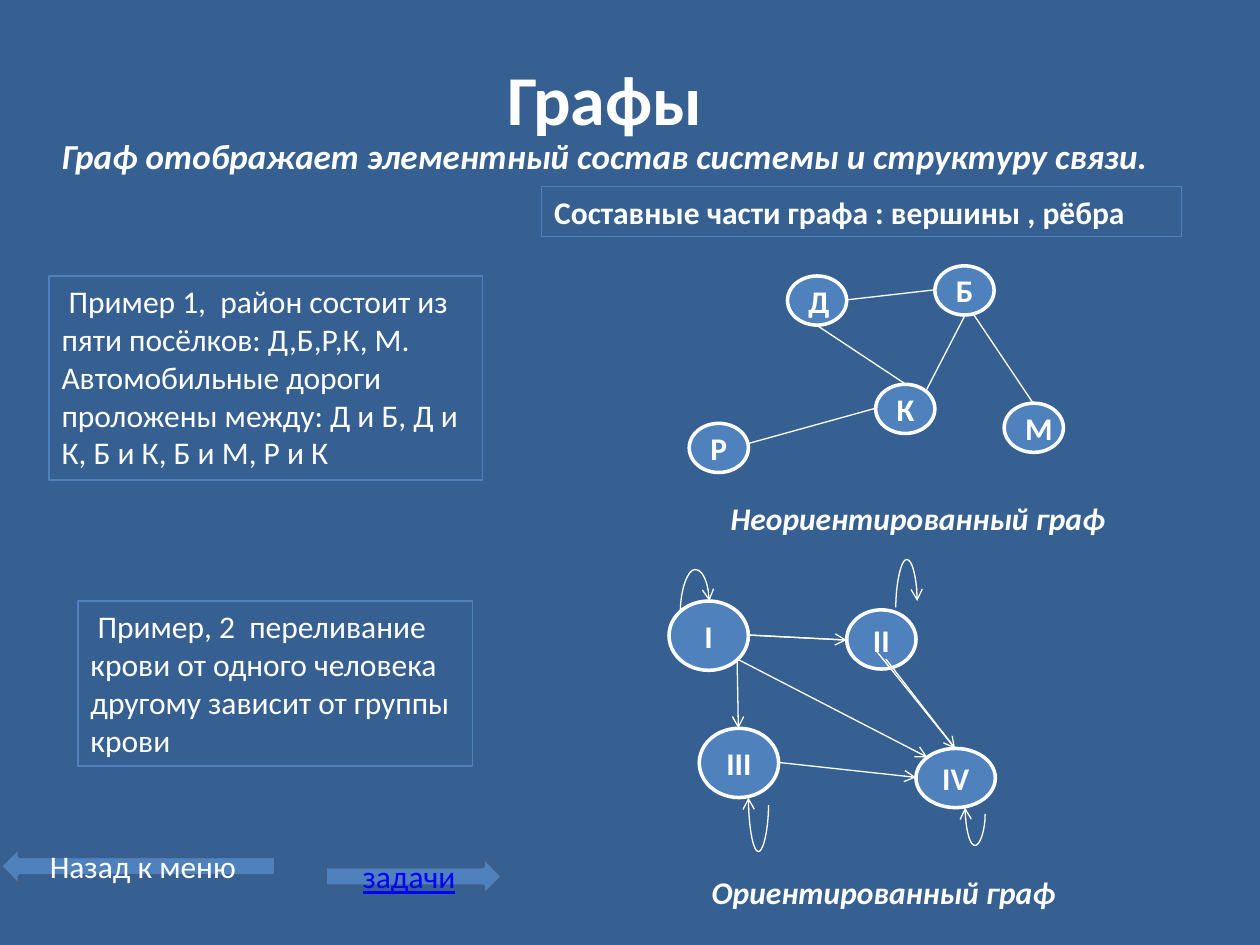
from lxml.etree import SubElement
from pptx import Presentation
from pptx.dml.color import RGBColor
from pptx.enum.shapes import MSO_CONNECTOR, MSO_SHAPE
from pptx.enum.text import MSO_ANCHOR, PP_ALIGN
from pptx.oxml.ns import qn
from pptx.util import Inches, Pt

WHITE, BLUE, DARK_BLUE, LINK_BLUE = "FFFFFF", "4F81BD", "3A5F8C", "0000FF"


def color(value):
    return RGBColor.from_string(value)


def add_line(shapes, kind, start, end, arrow):
    connector = shapes.add_connector(kind, *[Inches(value) for value in (*start, *end)])
    connector.line.color.rgb = color(WHITE)
    connector.line.width = Pt(0.75)
    properties = connector._element.spPr
    if arrow:
        SubElement(properties.find(qn("a:ln")), qn("a:tailEnd"), type="arrow")
    SubElement(properties, qn("a:effectLst"))
    return connector


presentation = Presentation()
presentation.slide_width = Inches(10)
presentation.slide_height = Inches(7.5)
slide = presentation.slides.add_slide(presentation.slide_layouts[6])
slide.background.fill.solid()
slide.background.fill.fore_color.rgb = color("376092")

villages = [
    ("Д", 6.25, 2.19, 0.47, 0.39),
    ("Р", 5.47, 3.36, 0.47, 0.39),
    ("К", 6.95, 3.05, 0.47, 0.39),
    ("М", 7.97, 3.2, 0.47, 0.39),
    ("Б", 7.42, 2.11, 0.47, 0.39),
]
roads = [
    ((6.72, 2.38), (7.42, 2.3)),
    ((5.94, 3.52), (6.95, 3.24)),
    ((6.48, 2.58), (7.19, 3.05)),
    ((7.35, 3.1), (7.66, 2.5)),
    ((8.2, 3.2), (7.73, 2.5)),
]
blood_types = [
    ("I", 5.31, 4.77, 0.63, 0.55),
    ("III", 5.55, 5.78, 0.63, 0.55),
    ("IV", 7.27, 5.94, 0.63, 0.47),
    ("II", 6.72, 4.84, 0.55, 0.47),
]
plain_edges = [((5.94, 5.04), (6.72, 5.08)), ((7.58, 5.94), (7.03, 5.23))]

for nodes, edges in ((villages, roads), (blood_types, plain_edges)):
    group = slide.shapes.add_group_shape()
    for label, *box in nodes:
        node = group.shapes.add_shape(MSO_SHAPE.OVAL, *[Inches(value) for value in box])
        node.shadow.inherit = False
        node.fill.solid()
        node.fill.fore_color.rgb = color(BLUE)
        node.line.color.rgb = color(WHITE)
        node.line.width = Pt(2)
        node.text_frame.vertical_anchor = MSO_ANCHOR.MIDDLE
        paragraph = node.text_frame.paragraphs[0]
        paragraph.text = label
        paragraph.alignment = PP_ALIGN.CENTER
        paragraph.font.name = "Calibri"
        paragraph.font.size = Pt(18)
        paragraph.font.bold = True
        paragraph.font.color.rgb = color(WHITE)
    for start, end in edges:
        add_line(group.shapes, MSO_CONNECTOR.STRAIGHT, start, end, False)

directed_edges = [
    ((5.94, 5.04), (6.72, 5.08)),
    ((6.95, 5.16), (7.58, 5.94)),
    ((5.85, 5.23), (5.86, 5.78)),
    ((6.17, 6.05), (7.27, 6.17)),
    ((5.85, 5.23), (7.36, 6.01)),
]
for start, end in directed_edges:
    add_line(slide.shapes, MSO_CONNECTOR.STRAIGHT, start, end, True)

loops = [
    ((5.4, 4.85), (5.63, 4.77), 4.52),
    ((7.11, 4.82), (7.28, 4.77), 4.44),
    ((6.1, 6.39), (5.94, 6.33), 6.76),
    ((7.82, 6.46), (7.66, 6.41), 6.71),
]
for (start_x, start_y), (end_x, end_y), peak in loops:
    center_x, center_y = (start_x + end_x) / 2, (start_y + end_y) / 2
    half_x, half_y = (end_x - start_x) / 2, (end_y - start_y) / 2
    loop = add_line(
        slide.shapes,
        MSO_CONNECTOR.CURVE,
        (center_x - half_y, center_y + half_x),
        (center_x + half_y, center_y - half_x),
        True,
    )
    properties = loop._element.spPr
    properties.find(qn("a:xfrm")).set("rot", str(90 * 60000))
    bend = round((peak - start_y) / (end_y - start_y) * 100000)
    adjustments = properties.find(qn("a:prstGeom")).find(qn("a:avLst"))
    SubElement(adjustments, qn("a:gd"), name="adj1", fmla=f"val {bend}")

texts = [
    ("Графы", 3.12, 0.39, 3.36, 0.77, 40, True, False, False),
    ("Граф отображает элементный состав системы и структуру связи.",
     0.39, 1.02, 9.06, 0.44, 20, True, True, False),
    ("Неориентированный граф", 5.7, 3.91, 3.52, 0.4, 18, True, True, False),
    ("Ориентированный граф", 5.55, 6.88, 3.13, 0.4, 18, True, True, False),
    (" Пример 1,  район состоит из пяти посёлков: Д,Б,Р,К, М. Автомобильные дороги "
     "проложены между: Д и Б, Д и К, Б и К, Б и М, Р и К",
     0.39, 2.19, 3.44, 1.62, 18, False, False, True),
    (" Пример, 2  переливание крови от одного человека другому зависит от группы крови",
     0.62, 4.77, 3.13, 1.31, 18, False, False, True),
    ("Составные части графа : вершины , рёбра",
     4.3, 1.48, 5.08, 0.4, 18, True, False, True),
]
for text, left, top, width, height, size, bold, italic, framed in texts:
    box = slide.shapes.add_textbox(Inches(left), Inches(top), Inches(width), Inches(height))
    box.text_frame.word_wrap = True
    if framed:
        box.line.color.rgb = color(BLUE)
        box.line.width = Pt(0.75)
    paragraph = box.text_frame.paragraphs[0]
    paragraph.text = text
    paragraph.alignment = PP_ALIGN.CENTER if size == 40 else PP_ALIGN.LEFT
    paragraph.font.name = "Calibri"
    paragraph.font.size = Pt(size)
    paragraph.font.bold = bold
    paragraph.font.italic = italic
    paragraph.font.color.rgb = color(WHITE)

buttons = [
    ("задачи", MSO_SHAPE.RIGHT_ARROW, 2.58, 6.8, 1.41, LINK_BLUE, True),
    ("Назад к меню", MSO_SHAPE.LEFT_ARROW, 0, 6.72, 2.19, WHITE, False),
]
for text, kind, left, top, width, text_color, underline in buttons:
    button = slide.shapes.add_shape(kind, Inches(left), Inches(top), Inches(width), Inches(0.31))
    button.shadow.inherit = False
    button.fill.solid()
    button.fill.fore_color.rgb = color(BLUE)
    button.line.color.rgb = color(DARK_BLUE)
    button.line.width = Pt(2)
    button.text_frame.vertical_anchor = MSO_ANCHOR.MIDDLE
    paragraph = button.text_frame.paragraphs[0]
    paragraph.text = text
    paragraph.alignment = PP_ALIGN.CENTER
    paragraph.font.name = "Calibri"
    paragraph.font.size = Pt(18)
    paragraph.font.underline = underline
    paragraph.font.color.rgb = color(text_color)

presentation.save("out.pptx")
